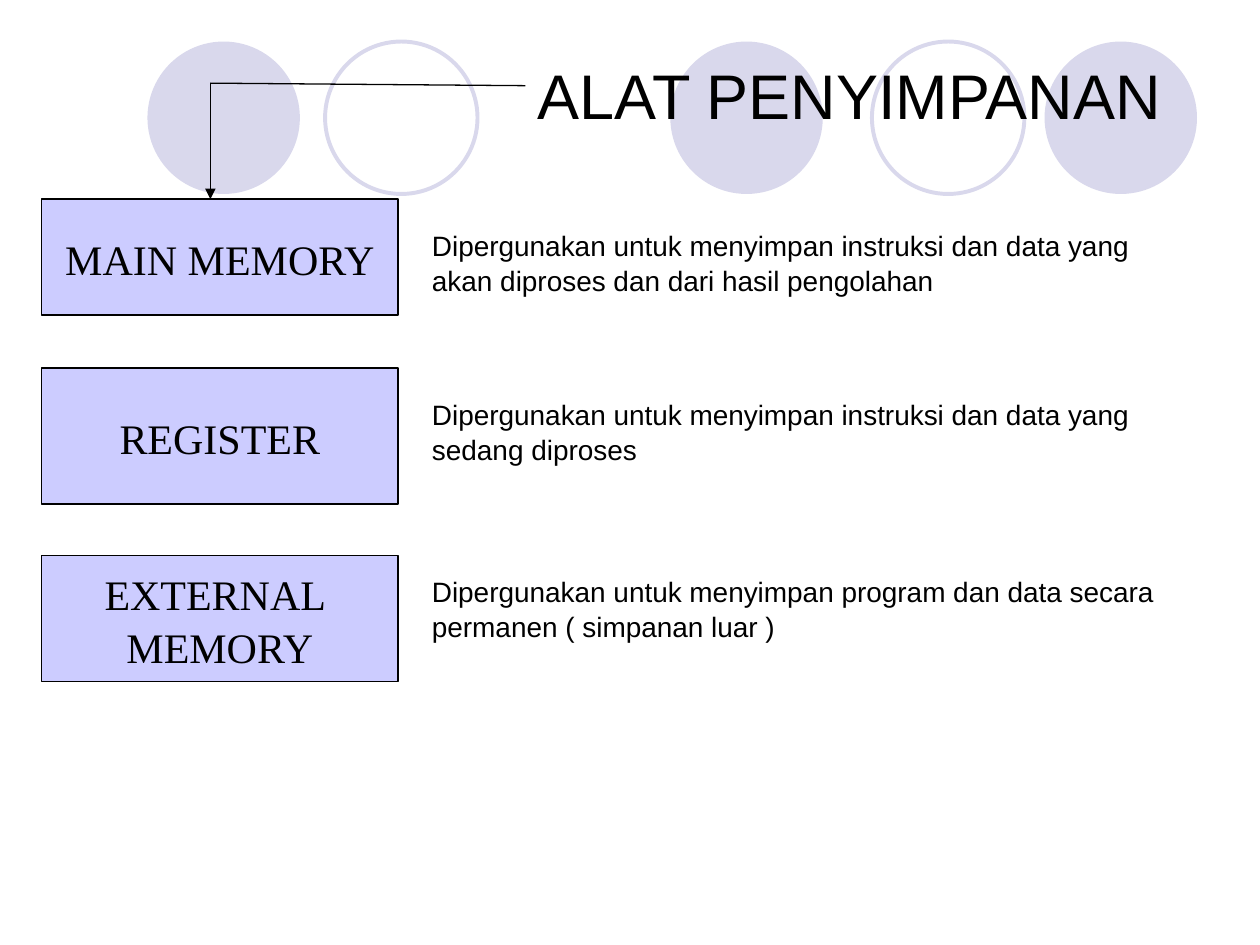
from dataclasses import dataclass

from lxml.etree import SubElement
from pptx import Presentation
from pptx.dml.color import RGBColor
from pptx.enum.shapes import MSO_CONNECTOR, MSO_SHAPE
from pptx.enum.text import MSO_ANCHOR, PP_ALIGN
from pptx.oxml.ns import qn
from pptx.util import Inches, Pt


@dataclass(frozen=True)
class Theme:
    ink: RGBColor = RGBColor(0x00, 0x00, 0x00)
    box: RGBColor = RGBColor(0xCC, 0xCC, 0xFF)
    circle: RGBColor = RGBColor(0xD9, 0xD8, 0xEC)
    sans: str = "Arial"
    serif: str = "Times New Roman"
    title: int = 36
    label: int = 24
    body: int = 16
    thin: float = 0.75
    ring: float = 2.25
    leading: float = 1.05


THEME = Theme()
CIRCLES = [(5.32, True), (8.29, True), (1.17, True), (6.92, False), (2.58, False)]
ROWS = [
    (1.58, 0.92, 0.17, 6.25, ["MAIN MEMORY"],
     "Dipergunakan untuk menyimpan instruksi dan data yang akan diproses dan dari hasil pengolahan"),
    (2.92, 1.08, 0.17, 6.25, ["REGISTER"],
     "Dipergunakan untuk menyimpan instruksi dan data yang sedang diproses"),
    (4.41, 1, 0.09, 6.33, ["EXTERNAL ", "MEMORY"],
     "Dipergunakan untuk menyimpan program dan data secara permanen ( simpanan luar )"),
]


def write(tf, lines, size, font, align=PP_ALIGN.LEFT, leading=THEME.leading):
    for i, line in enumerate(lines):
        p = tf.paragraphs[0] if i == 0 else tf.add_paragraph()
        p.alignment = align
        p.line_spacing = leading
        r = p.add_run()
        r.text = line
        r.font.size = Pt(size)
        r.font.name = font
        r.font.color.rgb = THEME.ink


def add_text(s, x, y, w, h, text, size, anchor=MSO_ANCHOR.TOP, leading=THEME.leading):
    tf = s.shapes.add_textbox(Inches(x), Inches(y), Inches(w), Inches(h)).text_frame
    tf.word_wrap = True
    tf.vertical_anchor = anchor
    write(tf, [text], size, THEME.sans, leading=leading)


def add_circles(s, y, size):
    for x, filled in CIRCLES:
        sp = s.shapes.add_shape(MSO_SHAPE.OVAL, Inches(x), Inches(y), Inches(size), Inches(size))
        sp.shadow.inherit = False
        if filled:
            sp.fill.solid()
            sp.fill.fore_color.rgb = THEME.circle
            sp.line.fill.background()
        else:
            sp.fill.background()
            sp.line.color.rgb = THEME.circle
            sp.line.width = Pt(THEME.ring)


def add_line(s, start, end, arrow=False):
    line = s.shapes.add_connector(MSO_CONNECTOR.STRAIGHT, *map(Inches, start + end))
    line.line.color.rgb = THEME.ink
    line.line.width = Pt(THEME.thin)
    if arrow:
        SubElement(line.line._get_or_add_ln(), qn("a:tailEnd"), type="triangle")
    SubElement(line._element.spPr, qn("a:effectLst"))


def add_row(s, x, y, w, h, text_dy, text_w, label, description):
    sp = s.shapes.add_shape(MSO_SHAPE.RECTANGLE, Inches(x), Inches(y), Inches(w), Inches(h))
    sp.shadow.inherit = False
    sp.fill.solid()
    sp.fill.fore_color.rgb = THEME.box
    sp.line.color.rgb = THEME.ink
    sp.line.width = Pt(THEME.thin)
    tf = sp.text_frame
    tf.word_wrap = False
    tf.vertical_anchor = MSO_ANCHOR.MIDDLE
    write(tf, label, THEME.label, THEME.serif, PP_ALIGN.CENTER)
    add_text(s, x + w + 0.17, y + text_dy, text_w, 0.63, description, THEME.body)


def add_pointer(s, x, y, w, h):
    add_line(s, (x + w, y + 0.02), (x, y))
    add_line(s, (x, y), (x, y + h), arrow=True)


def main():
    prs = Presentation()
    prs.slide_width, prs.slide_height = Inches(10), Inches(7.5)
    s = prs.slides.add_slide(prs.slide_layouts[6])
    add_circles(s, 0.33, 1.21)
    add_text(s, 4.17, 0.25, 5.58, 1, "ALAT PENYIMPANAN", THEME.title, MSO_ANCHOR.MIDDLE, 1.0)
    for y, h, text_dy, text_w, label, description in ROWS:
        add_row(s, 0.33, y, 2.83, h, text_dy, text_w, label, description)
    add_pointer(s, 1.67, 0.66, 2.5, 0.92)
    prs.save("out.pptx")


if __name__ == "__main__":
    main()
